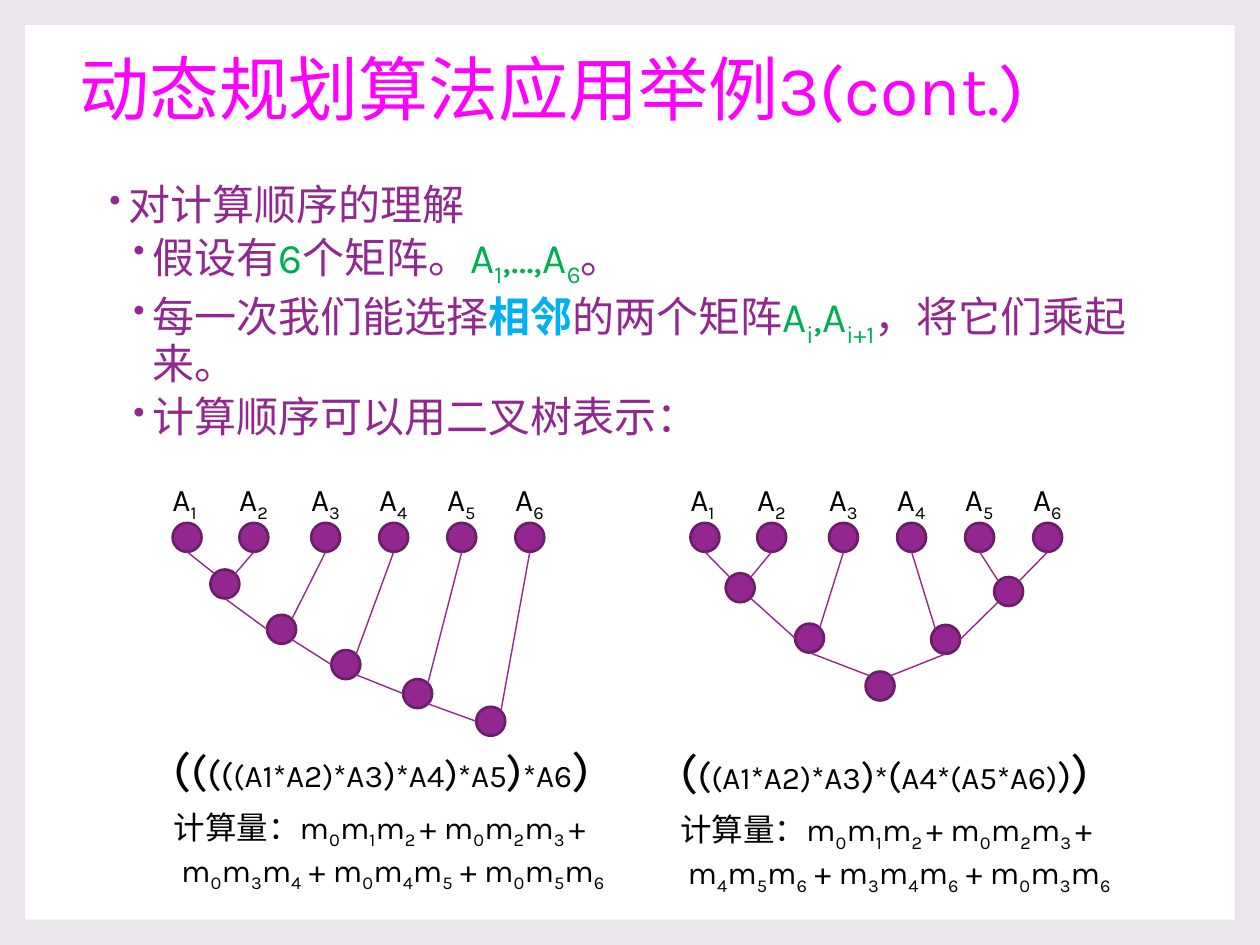
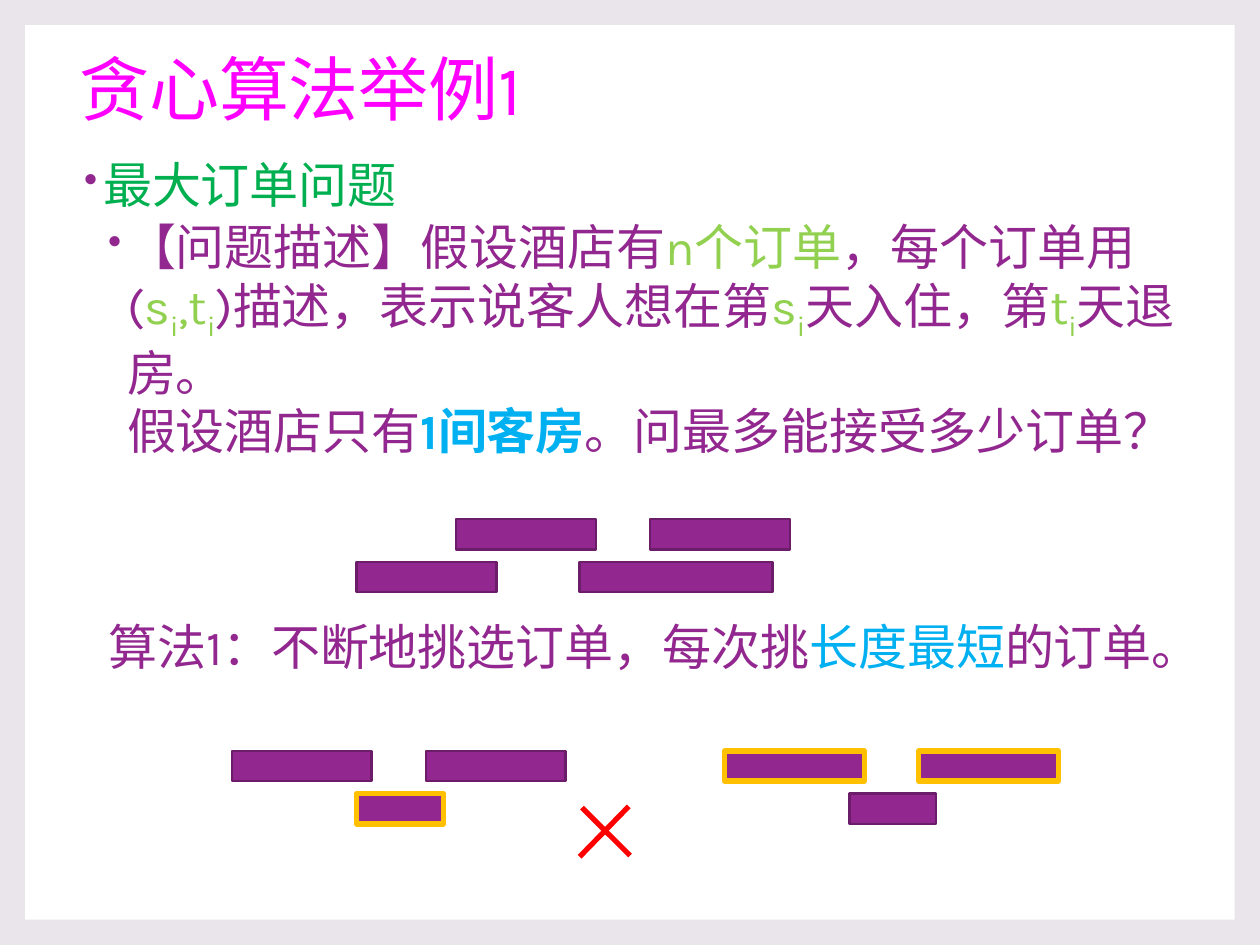
from lxml.etree import SubElement
from pptx import Presentation
from pptx.dml.color import RGBColor
from pptx.enum.shapes import MSO_CONNECTOR, MSO_SHAPE
from pptx.enum.text import MSO_ANCHOR
from pptx.oxml.ns import qn
from pptx.util import Inches, Pt

PAGE, WHITE, BLACK = "EAE5EB", "FFFFFF", "000000"
PLUM, DARK, PINK = "92278F", "6C1D6A", "FF00FF"
GREEN, LIME, BLUE = "00B050", "92D050", "00B0F0"
GOLD, RED = "FFC000", "FF0000"
FONT = "Karla"


def ink(fill, code):
    fill.solid()
    fill.fore_color.rgb = RGBColor.from_string(code)


def say(par, text, size=18, tone=BLACK, bold=False):
    for i, piece in enumerate(text.split("~")):
        for j, line in enumerate(piece.split("\n")):
            if j:
                par.add_line_break()
            if not line:
                continue
            run = par.add_run()
            run.text = line
            run.font.size = Pt(size)
            run.font.bold = bold
            run.font.name = FONT
            ink(run.font.fill, tone)
            props = run._r.get_or_add_rPr()
            SubElement(props, qn("a:ea")).set("typeface", FONT)
            if i % 2:
                props.set("baseline", "-25000")


STYLES = {
    "head": dict(),
    "main": dict(left=0.19, bullet=True),
    "item": dict(left=0.38, bullet=True, before=1.5, after=3),
    "cost": dict(before=6),
    "rest": dict(left=0.06),
}
PORTS = {
    "S": (0.5, 1), "W": (0, 0.5), "E": (1, 0.5),
    "NW": (0.15, 0.15), "NE": (0.85, 0.15),
    "SW": (0.15, 0.85), "SE": (0.85, 0.85),
}

texts = [
    (0, (0.73, 1.41, 8.33, 1.62), 0.9, [
        ("main", 24, [("对计算顺序的理解", PLUM)]),
        ("item", 24, [("假设有", PLUM), ("6", GREEN), ("个矩阵。", PLUM),
                      ("A~1~,…,A~6~", GREEN), ("。", PLUM)]),
        ("item", 24, [("每一次我们能选择", PLUM), ("相邻", BLUE, True),
                      ("的两个矩阵", PLUM), ("A~i~,A~i+1~", GREEN),
                      ("，将它们乘起来。", PLUM)]),
        ("item", 24, [("计算顺序可以用二叉树表示：", PLUM)]),
    ]),
    (1, (0.53, 1.18, 8.95, 3.6), 1, [
        ("main", 28, [("最大订单问题", GREEN)]),
        ("item", 28, [("【问题描述】假设酒店有", PLUM), ("n个订单", LIME),
                      ("，每个订单用(", PLUM), ("s~i~,t~i~", LIME),
                      (")描述，表示说客人想在第", PLUM), ("s~i~", LIME),
                      ("天入住，第", PLUM), ("t~i~", LIME),
                      ("天退房。\n假设酒店只有", PLUM), ("1间客房", BLUE, True),
                      ("。问最多能接受多少订单？", PLUM)]),
    ]),
    (1, (0.76, 4.84, 8.72, 0.6), 1, [
        ("head", 28, [("算法1：不断地挑选订单，每次挑", PLUM),
                      ("长度最短", BLUE), ("的订单。", PLUM)]),
    ]),
]
shapes = []
lines = []

SIZE = 0.23
TOP = 4.15
LEAVES = [1.37, 1.9, 2.47, 3.01, 3.55, 4.09]
TREES = [
    (0, [(1.67, 4.52), (2.12, 4.88), (2.63, 5.16), (3.2, 5.39), (3.78, 5.61)],
     ["0 S 6 NW", "1 S 6 NE", "2 S 7 NE", "3 S 8 NE", "4 S 9 NE",
      "5 S 10 NE", "6 S 7 W", "7 SE 8 W", "8 SE 9 W", "9 SE 10 W"],
     (1.28, 5.81),
     [("(", 28), ("(", 26), ("(", 22), ("(", 20), ("(A1*A2)*A3", 18),
      (")", 20), ("*A4", 18), (")", 22), ("*A5", 18), (")", 26),
      ("*A6", 18), (")", 28)],
     "m~0~m~3~m~4~ + m~0~m~4~m~5~ + m~0~m~5~m~6~"),
    (4.11, [(5.76, 4.55), (6.31, 4.95), (7.89, 4.58), (7.39, 4.96), (6.87, 5.33)],
     ["0 S 6 NW", "1 S 6 NE", "2 S 7 NE", "3 S 9 NW", "4 S 8 NW",
      "5 S 8 NE", "6 SE 7 W", "9 E 8 SW", "7 S 10 NW", "10 NE 9 S"],
     (5.3, 5.83),
     [("(", 28), ("(", 22), ("(A1*A2)*A3", 18), (")", 22), ("*", 18),
      ("(", 22), ("A4*(A5*A6)", 18), (")", 22), (")", 28)],
     "m~4~m~5~m~6~ + m~3~m~4~m~6~ + m~0~m~3~m~6~"),
]
for shift, inner, edges, spot, product, rest in TREES:
    nodes = [(x + shift, TOP) for x in LEAVES] + inner
    for x, y in nodes:
        shapes.append((0, MSO_SHAPE.OVAL, (x, y, SIZE, SIZE), DARK, 1.5))
    for i, x in enumerate(LEAVES, 1):
        label = [("head", 18, [(f"A~{i}~", BLACK)])]
        texts.append((0, (x + shift - 0.1, 3.76, 0.52, 0.4), 1, label))
    for edge in edges:
        start, out, end, into = edge.split()
        ends = []
        for node, port in ((start, out), (end, into)):
            ends += [p + SIZE * f for p, f in zip(nodes[int(node)], PORTS[port])]
        lines.append((0, ends, PLUM, 0.79))
    texts.append((0, (*spot, 3.85, 1.26), 1, [
        ("head", None, product),
        ("cost", 18, [("计算量：m~0~m~1~m~2 ~+ m~0~m~2~m~3 ~+", BLACK)]),
        ("rest", 18, [(rest, BLACK)]),
    ]))

LONG, SHORT = 1.11, 0.69
ORDERS = [
    (3.62, 4.12, LONG, False), (5.16, 4.12, LONG, False),
    (2.83, 4.46, LONG, False), (4.6, 4.46, 1.53, False),
]
for x, picked in ((1.84, False), (5.75, True)):
    ORDERS += [(x, 5.96, LONG, picked), (x + 1.54, 5.96, LONG, picked),
               (x + 0.99, 6.3, SHORT, not picked)]
for x, y, wide, picked in ORDERS:
    edge, thick = (GOLD, 3) if picked else (DARK, 1.5)
    shapes.append((1, MSO_SHAPE.RECTANGLE, (x, y, wide, 0.24), edge, thick))
lines.append((1, (4.62, 6.41, 5, 6.79), RED, 3))
lines.append((1, (4.6, 6.8, 4.99, 6.4), RED, 3))

deck = Presentation()
deck.slide_width = Inches(10)
deck.slide_height = Inches(7.5)
slides = []
for i, title in enumerate(["动态规划算法应用举例3(cont.)", "贪心算法举例1"]):
    slide = deck.slides.add_slide(deck.slide_layouts[6])
    slides.append(slide)
    ink(slide.background.fill, PAGE)
    panel = slide.shapes.add_shape(
        MSO_SHAPE.RECTANGLE, Inches(0.2), Inches(0.2), Inches(9.6), Inches(7.1))
    panel.shadow.inherit = False
    ink(panel.fill, WHITE)
    panel.line.fill.background()
    texts.insert(i, (i, (0.53, 0.29, 8.95, 0.89), 0.9,
                     [("head", 40, [(title, PINK)])]))

for page, place, kind, edge, thick in [(p, at, k, e, t) for p, k, at, e, t in shapes]:
    shape = slides[page].shapes.add_shape(kind, *map(Inches, place))
    shape.shadow.inherit = False
    ink(shape.fill, PLUM)
    ink(shape.line.fill, edge)
    shape.line.width = Pt(thick)

for page, ends, tone, thick in lines:
    line = slides[page].shapes.add_connector(
        MSO_CONNECTOR.STRAIGHT, *map(Inches, ends))
    ink(line.line.fill, tone)
    line.line.width = Pt(thick)
    SubElement(line._element.spPr, qn("a:effectLst"))

for page, place, space, paras in texts:
    frame = slides[page].shapes.add_textbox(*map(Inches, place)).text_frame
    frame.word_wrap = True
    if paras[0][1] == 40:
        frame.vertical_anchor = MSO_ANCHOR.MIDDLE
    for i, (kind, size, runs) in enumerate(paras):
        par = frame.paragraphs[0] if i == 0 else frame.add_paragraph()
        style = STYLES[kind]
        props = par._p.get_or_add_pPr()
        props.set("marL", str(Inches(style.get("left", 0))))
        if style.get("bullet"):
            props.set("indent", str(Inches(-0.15)))
            tint = SubElement(props, qn("a:buClr"))
            SubElement(tint, qn("a:srgbClr")).set("val", PLUM)
            SubElement(props, qn("a:buSzPct")).set("val", "80000")
            SubElement(props, qn("a:buChar")).set("char", "•")
        par.line_spacing = space
        par.space_before = Pt(style.get("before", 0))
        par.space_after = Pt(style.get("after", 0))
        for run in runs:
            if size is None:
                say(par, run[0], size=run[1])
            else:
                say(par, run[0], size=size, tone=run[1], bold=len(run) > 2)

deck.save("out.pptx")
